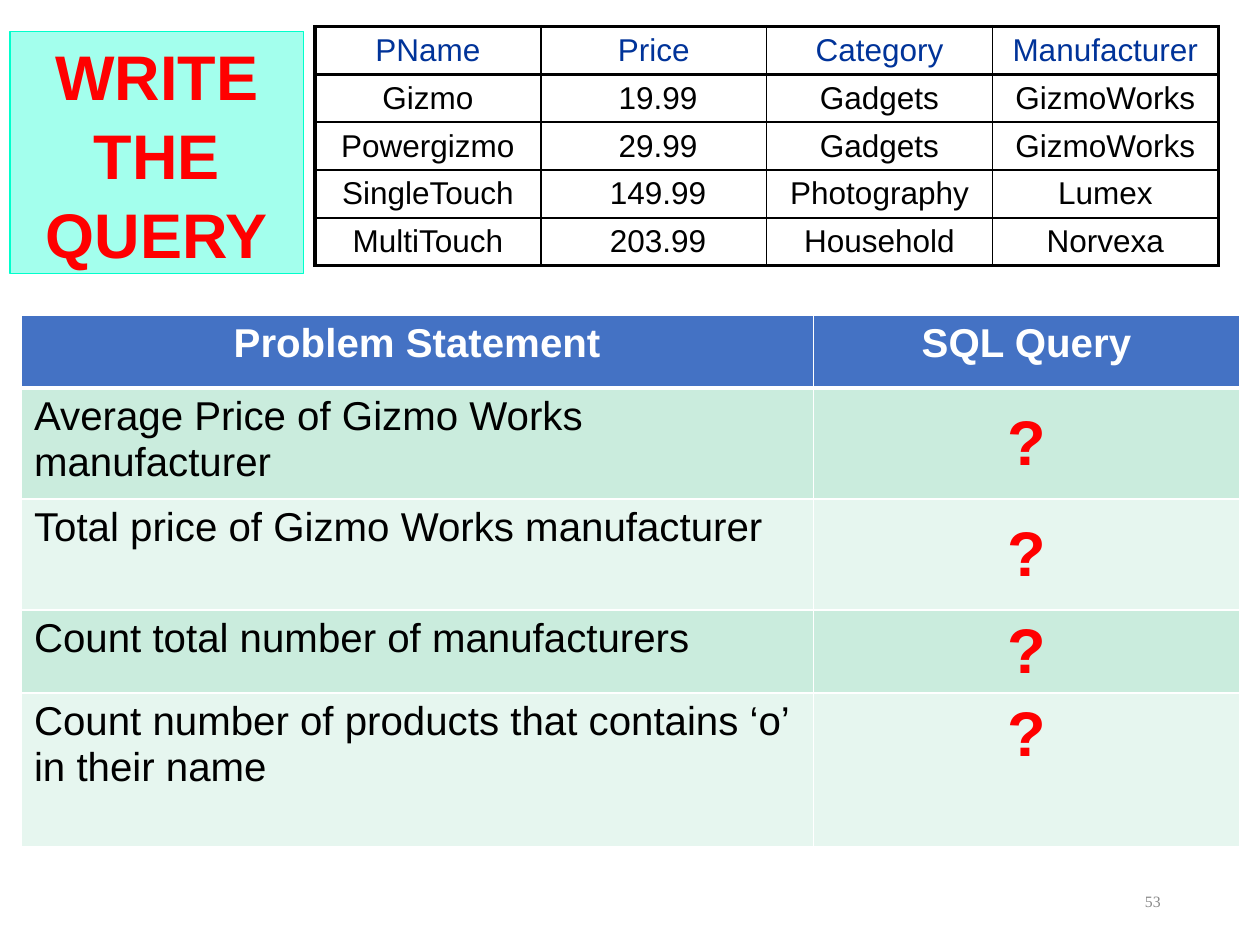
from lxml import etree
from pptx import Presentation
from pptx.dml.color import RGBColor
from pptx.enum.text import MSO_ANCHOR, PP_ALIGN
from pptx.oxml.ns import qn
from pptx.util import Inches, Pt

LEFT, CENTER, RIGHT = PP_ALIGN.LEFT, PP_ALIGN.CENTER, PP_ALIGN.RIGHT
TOP, MIDDLE = MSO_ANCHOR.TOP, MSO_ANCHOR.MIDDLE
TITLE_ONLY = 5

COLORS = {
    "black": "000000", "white": "FFFFFF", "red": "FF0000", "grey": "888888",
    "navy": "003399", "header": "4472C4", "band_dark": "CAECDD",
    "band_light": "E6F6EF", "title_fill": "A3FFED", "title_line": "00FFCC",
}

PRODUCTS = [
    ["PName", "Price", "Category", "Manufacturer"],
    ["Gizmo", " 19.99", "Gadgets", "GizmoWorks"],
    ["Powergizmo", " 29.99", "Gadgets", "GizmoWorks"],
    ["SingleTouch", " 149.99", "Photography", "Lumex"],
    ["MultiTouch", " 203.99", "Household", "Norvexa"],
]
PROBLEMS = [
    "Average Price of Gizmo Works manufacturer",
    "Total price of Gizmo Works manufacturer",
    "Count total number of manufacturers",
    "Count number of products that contains ‘o’ in their name",
]


def rgb(name):
    return RGBColor.from_string(COLORS[name])


def write(frame, text, size, color, align=LEFT, bold=False, font="Arial"):
    frame.text = text
    paragraph = frame.paragraphs[0]
    paragraph.alignment = align
    paragraph.font.name = font
    paragraph.font.size = Pt(size)
    paragraph.font.bold = bold
    paragraph.font.color.rgb = rgb(color)
    return paragraph


def set_borders(cell, color, widths):
    """Draw the left, right, top and bottom borders, widths in points."""
    properties = cell._tc.get_or_add_tcPr()
    for index, (side, width) in enumerate(zip("LRTB", widths)):
        line = etree.Element(qn(f"a:ln{side}"), w=str(Pt(width)))
        fill = etree.SubElement(line, qn("a:solidFill"))
        etree.SubElement(fill, qn("a:srgbClr"), val=COLORS[color])
        properties.insert(index, line)


def add_grid(slide, box, col_shares, row_heights):
    left, top, width, height = map(Inches, box)
    table = slide.shapes.add_table(
        len(row_heights), len(col_shares), left, top, width, height).table
    for column, share in zip(table.columns, col_shares):
        column.width = int(width * share)
    for row, row_height in zip(table.rows, row_heights):
        row.height = Inches(row_height)
    return table


def add_title(slide, box):
    title = slide.shapes.title
    title.left, title.top, title.width, title.height = map(Inches, box)
    title.fill.solid()
    title.fill.fore_color.rgb = rgb("title_fill")
    title.line.color.rgb = rgb("title_line")
    title.line.width = Pt(0.75)
    title.text_frame.vertical_anchor = MIDDLE
    paragraph = write(title.text_frame, "WRITE THE QUERY", 36, "red", CENTER, True)
    paragraph.line_spacing = 1.05


def add_products(slide, box):
    rows, cols = len(PRODUCTS), len(PRODUCTS[0])
    table = add_grid(slide, box, [1 / cols] * cols, [box[3] / rows] * rows)
    thin, thick = 1, 2.25
    for r, record in enumerate(PRODUCTS):
        for c, value in enumerate(record):
            cell = table.cell(r, c)
            cell.fill.background()
            cell.vertical_anchor = MIDDLE
            cell.margin_top = cell.margin_bottom = Inches(0.04)
            write(cell.text_frame, value, 18, "black" if r else "navy", CENTER)
            # Thick frame around the table and below its header
            set_borders(cell, "black", [
                thick if c == 0 else thin,
                thick if c == cols - 1 else thin,
                thick if r <= 1 else thin,
                thick if r in (0, rows - 1) else thin,
            ])


def add_problems(slide, box):
    table = add_grid(slide, box, [0.65, 0.35], [0.58, 0.88, 0.88, 0.66, 1.22])
    # Header
    for c, heading in enumerate(["Problem Statement", "SQL Query"]):
        write(table.cell(0, c).text_frame, heading, 23, "white", CENTER, True)
    # Statements, each with its query left open
    for r, problem in enumerate(PROBLEMS, start=1):
        write(table.cell(r, 0).text_frame, problem, 23, "black")
        query = table.cell(r, 1)
        write(query.text_frame, "?", 36, "red", CENTER, True)
        query.vertical_anchor = TOP if r == len(PROBLEMS) else MIDDLE
    # Bands and rules
    for r, row in enumerate(table.rows):
        band = "header" if r == 0 else "band_dark" if r % 2 else "band_light"
        for cell in row.cells:
            cell.fill.solid()
            cell.fill.fore_color.rgb = rgb(band)
            set_borders(cell, "white", [1, 1, 3 if r == 1 else 1, 3 if r == 0 else 1])


def add_page_number(slide, box):
    frame = slide.shapes.add_textbox(*map(Inches, box)).text_frame
    frame.word_wrap = True
    frame.vertical_anchor = MIDDLE
    write(frame, "53", 9, "grey", RIGHT, font="Times New Roman")


def main():
    deck = Presentation()
    deck.slide_width, deck.slide_height = Inches(10), Inches(7.5)
    slide = deck.slides.add_slide(deck.slide_layouts[TITLE_ONLY])
    add_title(slide, (0.08, 0.25, 2.33, 1.92))
    add_products(slide, (2.5, 0.21, 7.17, 1.9))
    add_problems(slide, (0.17, 2.5, 9.67, 4.22))
    add_page_number(slide, (7.06, 6.95, 2.25, 0.4))
    deck.save("out.pptx")


if __name__ == "__main__":
    main()
